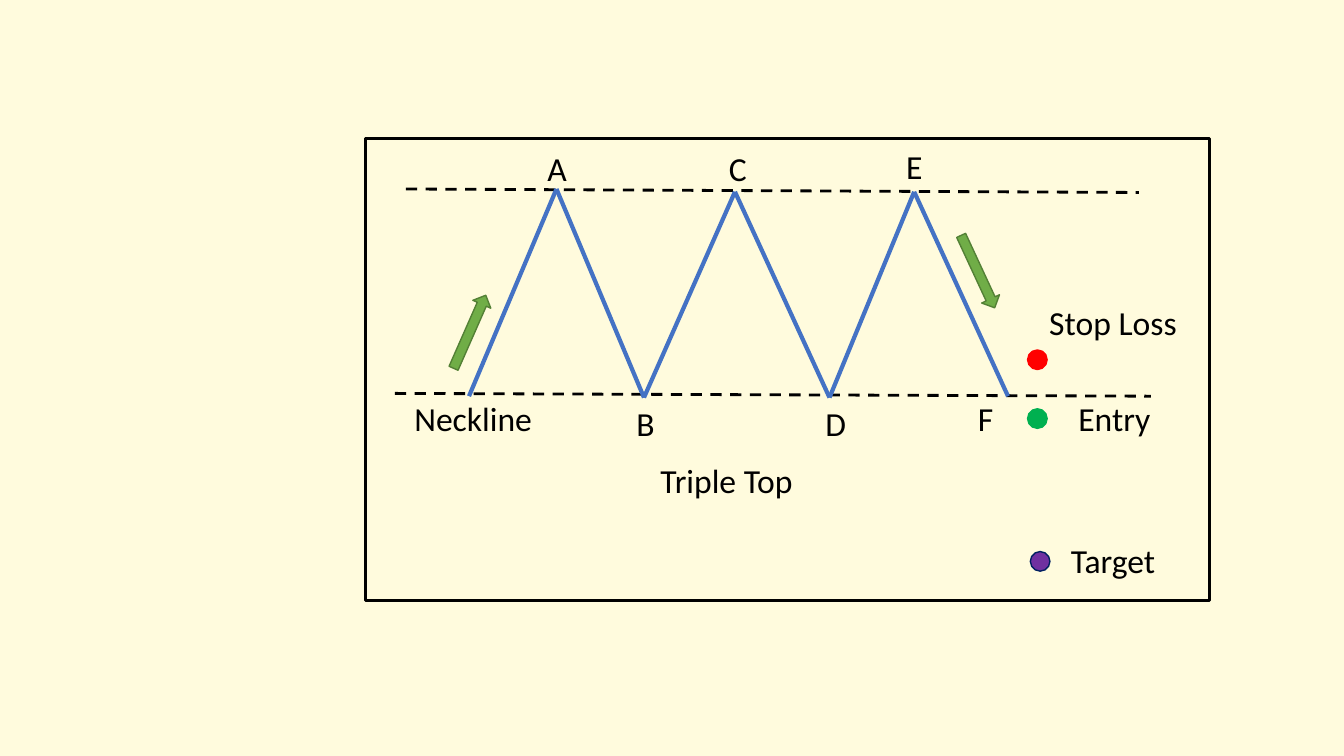
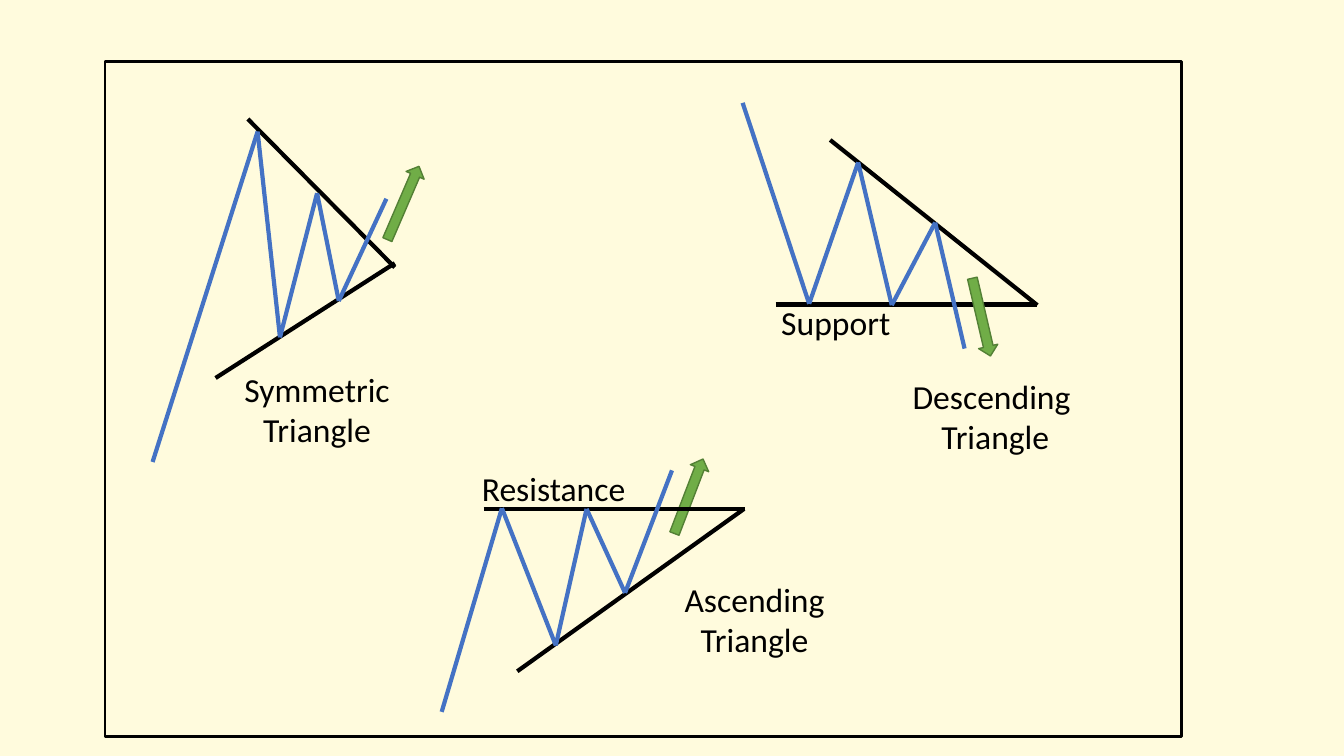
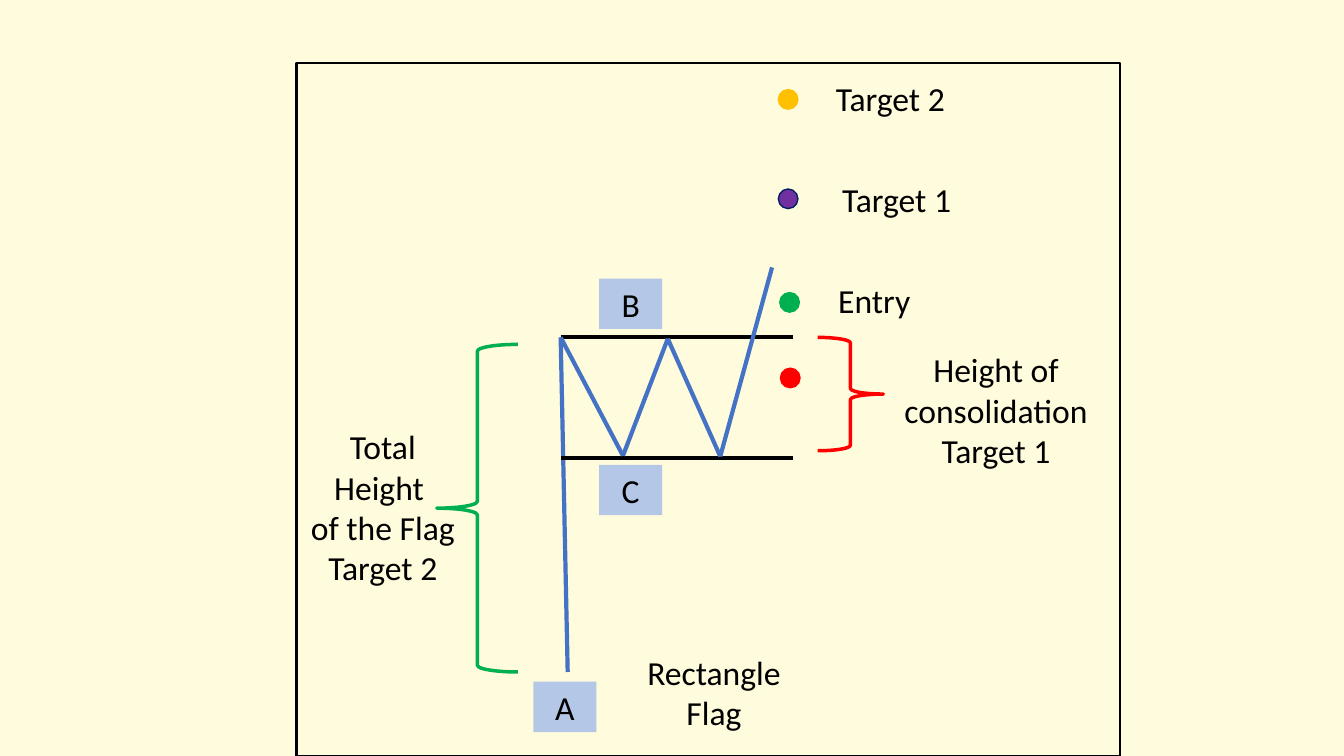
from dataclasses import dataclass
from itertools import pairwise

from lxml.etree import SubElement
from pptx import Presentation
from pptx.dml.color import RGBColor
from pptx.enum.dml import MSO_LINE
from pptx.enum.shapes import MSO_CONNECTOR, MSO_SHAPE
from pptx.enum.text import MSO_ANCHOR, MSO_AUTO_SIZE, PP_ALIGN
from pptx.oxml.ns import qn
from pptx.util import Pt


@dataclass(frozen=True)
class Theme:
    paper: str = "FFFBDD"
    ink: str = "000000"
    price: str = "4472C4"
    arrow: str = "70AD47"
    edge: str = "538035"
    tag: str = "B4C7E7"
    red: str = "FF0000"
    green: str = "00B050"
    gold: str = "FFC000"
    plum: str = "7030A0"
    navy: str = "002060"
    font: str = "Calibri"
    size: float = 24
    thin: float = 1
    frame: float = 2
    brace: float = 2.5
    thick: float = 3


T = Theme()


def rgb(code):
    return RGBColor.from_string(code)


class Board:
    def __init__(self, slide, left, top):
        self.slide, self.left, self.top = slide, left, top

    def inner(self, x, y):
        return Board(self.slide, self.left + x, self.top + y)

    def spot(self, x, y):
        return Pt(self.left + x), Pt(self.top + y)

    def shape(self, kind, x, y, w, h, fill=None, line=None, width=T.thin):
        item = self.slide.shapes.add_shape(kind, *self.spot(x, y), Pt(w), Pt(h))
        item.shadow.inherit = False
        if fill:
            item.fill.solid()
            item.fill.fore_color.rgb = rgb(fill)
        else:
            item.fill.background()
        if line:
            item.line.color.rgb = rgb(line)
            item.line.width = Pt(width)
        else:
            item.line.fill.background()
        return item

    def dot(self, x, y, fill, line=None):
        self.shape(MSO_SHAPE.OVAL, x - 7, y - 7, 14, 14, fill, line or fill)

    def arrow(self, x, y, turn):
        item = self.shape(MSO_SHAPE.UP_ARROW, x - 7, y - 28.5, 14, 57, T.arrow, T.edge)
        item.rotation = turn

    def trace(self, points, color=T.ink, width=T.thick, dash=None):
        for start, end in pairwise(points):
            item = self.slide.shapes.add_connector(
                MSO_CONNECTOR.STRAIGHT, *self.spot(*start), *self.spot(*end))
            item.line.color.rgb = rgb(color)
            item.line.width = Pt(width)
            if dash:
                item.line.dash_style = dash
            SubElement(item._element.spPr, qn("a:effectLst"))

    def label(self, text, mid, y, w):
        high = 7 + 29 * len(text.split("\n"))
        item = self.slide.shapes.add_textbox(*self.spot(mid - w / 2, y), Pt(w), Pt(high))
        write(item, text)

    def tag(self, text, x, y):
        write(self.shape(MSO_SHAPE.RECTANGLE, x, y, 45, 36, T.tag), text)


def write(item, text):
    frame = item.text_frame
    frame.word_wrap = True
    frame.auto_size = MSO_AUTO_SIZE.SHAPE_TO_FIT_TEXT
    frame.vertical_anchor = MSO_ANCHOR.TOP
    for index, line in enumerate(text.split("\n")):
        para = frame.add_paragraph() if index else frame.paragraphs[0]
        para.alignment = PP_ALIGN.CENTER
        run = para.add_run()
        run.text = line
        run.font.name = T.font
        run.font.size = Pt(T.size)
        run.font.color.rgb = rgb(T.ink)


def panel(deck, x, y, w, h):
    board = Board(deck.slides.add_slide(deck.slide_layouts[6]), x, y)
    board.shape(MSO_SHAPE.RECTANGLE, 0, 0, w, h, line=T.ink, width=T.frame)
    return board


def triple(deck):
    board = panel(deck, 261, 99, 603, 330)
    for ends in ([(21, 182), (561, 184)], [(29, 36), (552.5, 38.5)]):
        board.trace(ends, width=T.frame, dash=MSO_LINE.DASH)
    board.trace([(74, 184), (136.5, 36), (199, 185), (264, 38),
                 (331.5, 185), (392, 38), (459, 184)], T.price)
    board.arrow(74.5, 138, 23.8)
    board.arrow(437.5, 95, 155.1)
    for text, mid, y in (("A", 137, 3), ("B", 200, 185), ("C", 266, 3),
                         ("D", 336, 185), ("E", 392, 2), ("F", 443, 182)):
        board.label(text, mid, y, 40)
    for text, mid, y in (("Neckline", 77, 182), ("Triple Top", 258, 226),
                         ("Stop Loss", 534, 113), ("Entry", 535, 182),
                         ("Target", 534, 283)):
        board.label(text, mid, y, 130)
    board.dot(480, 158, T.red)
    board.dot(480, 200, T.green)
    board.dot(482, 302, T.plum, T.navy)


def wedge(board, rules, price, arrow, name, level=None):
    rising = arrow[2] < 90
    if rising:
        board.arrow(*arrow)
    for ends in rules:
        board.trace(ends)
    board.trace(price, T.price)
    if not rising:
        board.arrow(*arrow)
    board.label(*name, 188)
    if level:
        board.label(*level, 130)


def wedges(deck):
    board = panel(deck, 75, 44, 769, 482)
    wedge(board.inner(33, 28),
          [[(69, 13), (174, 119)], [(46, 198), (174, 116)]],
          [(1, 258), (76, 22), (92, 169), (118.5, 66), (134, 143), (168, 70)],
          (180, 73, 23.3), ("Symmetric\nTriangle", 118.5, 188))
    wedge(board.inner(455, 28),
          [[(24, 145.5), (211, 145.5)], [(63, 28), (211, 146)]],
          [(0.5, 1.5), (48, 145), (83, 44), (107, 146), (138, 87), (159, 177)],
          (171, 154.5, 166.9), ("Descending \nTriangle", 181, 193),
          ("Support", 67, 140))
    wedge(board.inner(240, 280),
          [[(30.5, 39.5), (217, 39.5)], [(54.5, 155.5), (216.5, 39.5)]],
          [(0.5, 184.5), (43.5, 39), (82, 137), (104, 39.5), (131.5, 99.5), (165, 12)],
          (177, 30.5, 21), ("Ascending\nTriangle", 224, 86),
          ("Resistance", 80.5, 7))


def flag(deck):
    board = panel(deck, 212, 45, 588, 495)
    peak = (188.5, 196)
    board.trace([(193.5, 435), peak], T.price)
    for y in (195.5, 282):
        board.trace([(188.5, y), (354.5, y)])
    board.trace([peak, (233, 280.5), (265, 197), (302.5, 281), (339.5, 146)], T.price)
    board.shape(MSO_SHAPE.LEFT_BRACE, 100, 201, 58, 234, line=T.green, width=T.brace)
    board.shape(MSO_SHAPE.RIGHT_BRACE, 372, 196, 47, 81, line=T.red, width=T.brace)
    for text, mid, y, w in (
            ("Target 2", 424, 7, 130), ("Target 1", 428.5, 79, 130),
            ("Entry", 412.5, 151.5, 130), ("Rectangle\nFlag", 298, 417, 130),
            ("Total Height \nof the Flag\nTarget 2", 61.5, 256, 124),
            ("Height of consolidation\nTarget 1", 499.5, 201, 166)):
        board.label(text, mid, y, w)
    board.dot(351, 26, T.gold)
    board.dot(351, 97, T.plum, T.navy)
    board.dot(352, 171, T.green)
    board.dot(352.5, 225, T.red)
    for text, x, y in (("A", 169, 442), ("B", 216, 154), ("C", 216, 287)):
        board.tag(text, x, y)


def main():
    deck = Presentation()
    deck.slide_width, deck.slide_height = Pt(960), Pt(540)
    back = deck.slide_master.background.fill
    back.solid()
    back.fore_color.rgb = rgb(T.paper)
    for build in (triple, wedges, flag):
        build(deck)
    deck.save("out.pptx")


if __name__ == "__main__":
    main()
